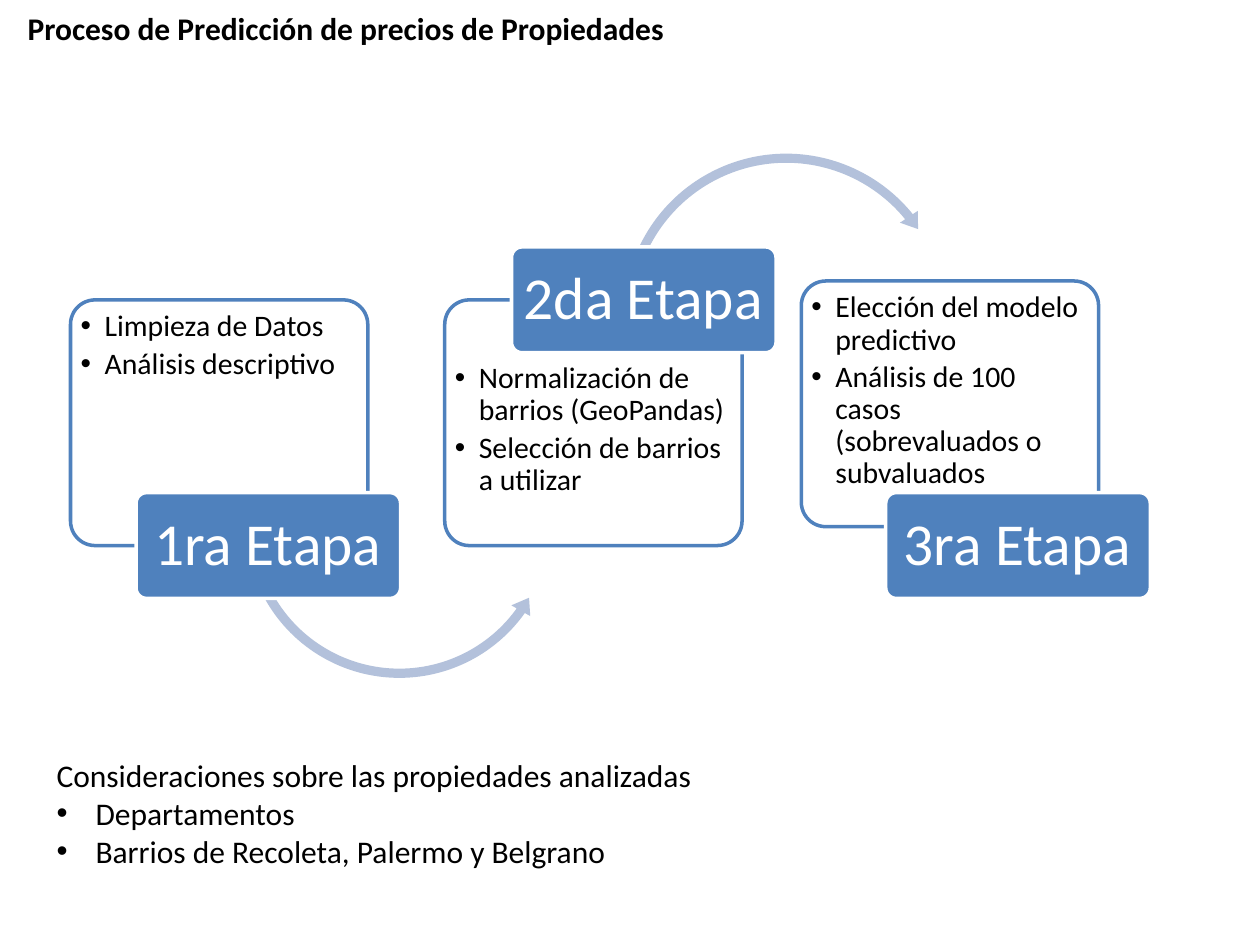
from lxml import etree
from pptx import Presentation
from pptx.dml.color import RGBColor
from pptx.enum.shapes import MSO_SHAPE as Shape
from pptx.enum.text import MSO_ANCHOR as Anchor, MSO_AUTO_SIZE as Auto, PP_ALIGN as Align
from pptx.oxml.ns import qn
from pptx.util import Inches, Pt

BLUE, PALE, WHITE, BLACK = "4F81BD", "B3C1DB", "FFFFFF", "000000"

deck = Presentation()
deck.slide_width, deck.slide_height = Inches(10), Inches(7.5)
slide = deck.slides.add_slide(deck.slide_layouts[6])


def add_form(kind, area, adjust, fill, line=None):
    """Add a flat preset shape with its adjustments, fill and outline."""
    form = slide.shapes.add_shape(kind, *map(Inches, area))
    form.shadow.inherit = False
    for i, value in enumerate(adjust):
        form.adjustments[i] = value
    form.fill.solid()
    form.fill.fore_color.rgb = RGBColor.from_string(fill)
    if line:
        form.line.color.rgb = RGBColor.from_string(line)
        form.line.width = Pt(2)
    else:
        form.line.fill.background()
    return form


def add_text(area, lines, size, color=BLACK, bold=None, first=0, indent=0,
             para=None, frame=None):
    """Add a text box; lines from number first on are bulleted if indent is set."""
    box = slide.shapes.add_textbox(*map(Inches, area)).text_frame
    box.word_wrap = True
    for name, value in (frame or {}).items():
        setattr(box, name, value)
    for i, line in enumerate(lines):
        p = box.paragraphs[0] if i == 0 else box.add_paragraph()
        for name, value in (para or {}).items():
            setattr(p, name, value)
        run = p.add_run()
        run.text = line
        run.font.name, run.font.size, run.font.bold = "Calibri", Pt(size), bold
        run.font.color.rgb = RGBColor.from_string(color)
        if indent and i >= first:
            props = p._p.get_or_add_pPr()
            props.set("marL", str(Inches(indent)))
            props.set("indent", str(-Inches(indent)))
            etree.SubElement(props, qn("a:buFont")).set("typeface", "Arial")
            etree.SubElement(props, qn("a:buChar")).set("char", "•")


# Each stage: title, box corner, text drop, label corner, tasks, arrow
stages = [
    ("1ra Etapa", (0.56, 2.38), 0.05, (1.08, 3.91),
     ["Limpieza de Datos", "Análisis descriptivo"],
     (Shape.LEFT_CIRCULAR_ARROW, (1.9, 2.89, 2.54, 2.54),
      (0.029, 3.537, 21.292, 90.245, 0.034))),
    ("2da Etapa", (3.53, 2.38), 0.46, (4.06, 1.96),
     ["Normalización de barrios (GeoPandas)", "Selección de barrios a utilizar"],
     (Shape.CIRCULAR_ARROW, (4.9, 1.17, 2.68, 2.68),
      (0.027, 3.335, 192.582, 123.428, 0.032))),
    ("3ra Etapa", (6.36, 2.23), 0.05, (7.03, 3.91),
     ["Elección del modelo predictivo",
      "Análisis de 100 casos (sobrevaluados o subvaluados"], None),
]
sides = ("margin_left", "margin_top", "margin_right", "margin_bottom")
task_frame = dict.fromkeys(sides, Inches(0.04))
name_frame = dict(zip(sides, map(Inches, (0.07, 0.05) * 2)),
                  vertical_anchor=Anchor.MIDDLE)
task_para = {"line_spacing": 0.9, "space_after": Pt(3)}
name_para = {"line_spacing": 0.9, "alignment": Align.CENTER}

for title, (x, y), drop, (left, top), tasks, arrow in stages:
    card = add_form(Shape.ROUNDED_RECTANGLE, (x, y, 2.36, 1.95), [0.1], WHITE, BLUE)
    tint = card.fill._xPr.find(qn("a:solidFill"))[0]
    etree.SubElement(tint, qn("a:alpha")).set("val", "90000")
    add_text((x + 0.04, y + drop, 2.27, 1.44), tasks, 17, indent=0.19,
             para=task_para, frame=task_frame)
    if arrow:
        add_form(*arrow, PALE)
    add_form(Shape.ROUNDED_RECTANGLE, (left, top, 2.1, 0.84), [0.1], BLUE, WHITE)
    add_text((left + 0.02, top + 0.03, 2.05, 0.79), [title], 34, WHITE,
             para=name_para, frame=name_frame)

grow = {"auto_size": Auto.SHAPE_TO_FIT_TEXT}
add_text((0.35, 5.95, 8.98, 1.01),
         ["Consideraciones sobre las propiedades analizadas", "Departamentos",
          "Barrios de Recoleta, Palermo y Belgrano"],
         18, first=1, indent=0.31, frame=grow)
add_text((0.12, 0.02, 8.98, 0.4), ["Proceso de Predicción de precios de Propiedades"],
         18, bold=True, frame=grow)

deck.save("out.pptx")
